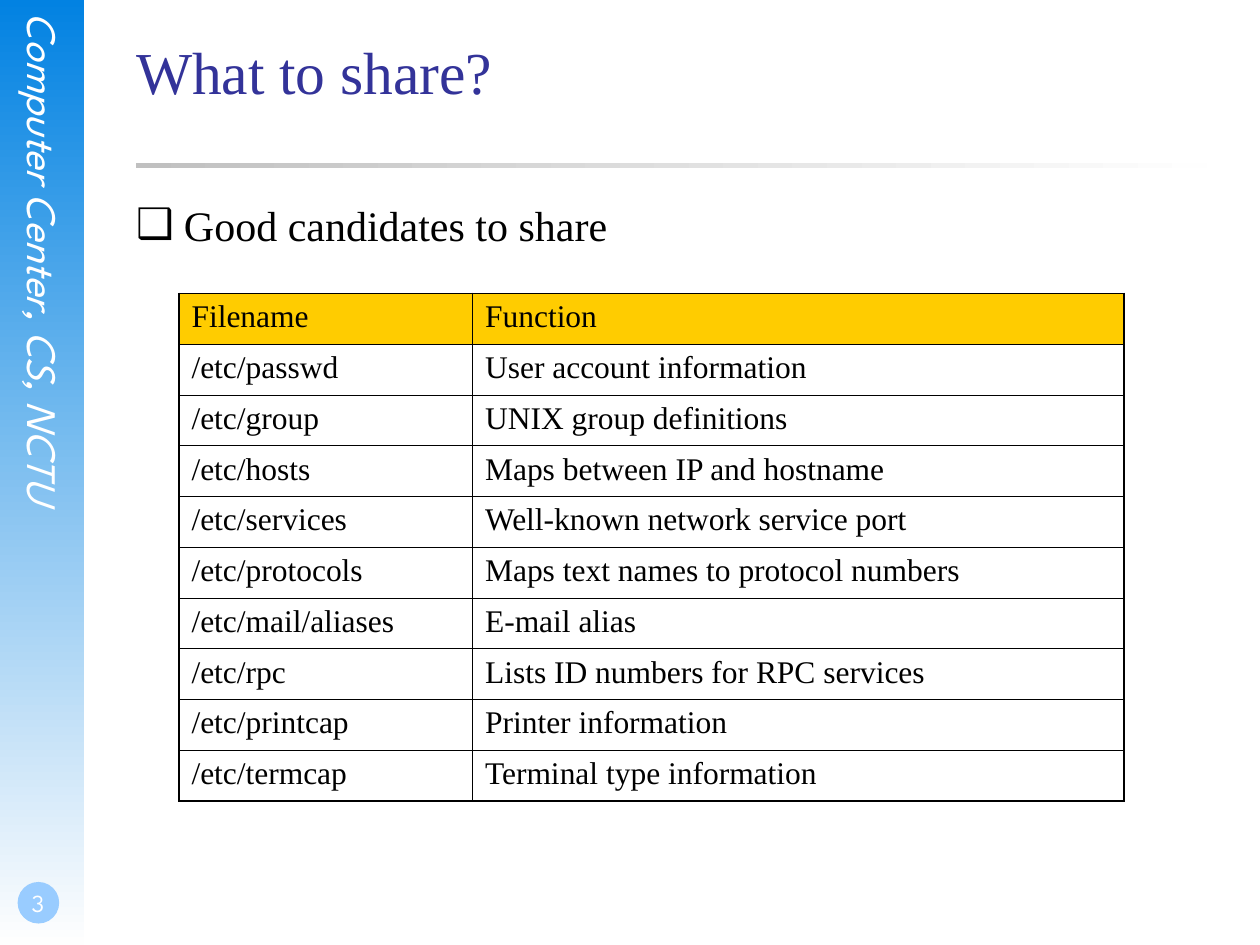
import pptx
import pptx.dml.color
import pptx.enum.shapes
import pptx.enum.text
import pptx.oxml
import pptx.oxml.ns
import pptx.util
from lxml import etree

Inches, Pt = pptx.util.Inches, pptx.util.Pt
ANCHOR, ALIGN = pptx.enum.text.MSO_ANCHOR, pptx.enum.text.PP_ALIGN
SHAPE = pptx.enum.shapes.MSO_SHAPE
qn = pptx.oxml.ns.qn

TITLE = "What to share?"
BULLET = "Good candidates to share"
SIDE_TEXT = "Computer Center, CS, NCTU"
PAGE = "3"
ROWS = [
    ("Filename", "Function"),
    ("/etc/passwd", "User account information"),
    ("/etc/group", "UNIX group definitions"),
    ("/etc/hosts", "Maps between IP and hostname"),
    ("/etc/services", "Well-known network service port"),
    ("/etc/protocols", "Maps text names to protocol numbers"),
    ("/etc/mail/aliases", "E-mail alias"),
    ("/etc/rpc", "Lists ID numbers for RPC services"),
    ("/etc/printcap", "Printer information"),
    ("/etc/termcap", "Terminal type information"),
]
COLORS = {"sky": "0282E2", "fade": "FEFEFE", "badge": "99CCFF", "rule": "C0C0C0",
          "title": "333399", "text": "000000", "header": "FFCC00", "light": "FFFFFF"}
SERIF, SANS = "Times New Roman", "League Spartan"
LEFT, WIDTH = 1.08, 8.5
COLUMNS = (2.33, 5.17)
ROW_HEIGHT = 0.403
OUTER, INNER = 1.08, 0.45


def rgb(name):
    return pptx.dml.color.RGBColor.from_string(COLORS[name])


def place(s, *box):
    s.left, s.top, s.width, s.height = map(Inches, box)


def add_shape(slide, kind, box, *colors, angle=0):
    """One colour gives a solid fill, two give a gradient."""
    s = slide.shapes.add_shape(kind, *map(Inches, box))
    s.shadow.inherit = False
    s.line.fill.background()
    if len(colors) == 1:
        s.fill.solid()
        s.fill.fore_color.rgb = rgb(colors[0])
    else:
        s.fill.gradient()
        s.fill.gradient_angle = angle
        for stop, color in zip(s.fill.gradient_stops, colors):
            stop.color.rgb = rgb(color)


def write(tf, text, size, font, color, align=ALIGN.LEFT, anchor=ANCHOR.TOP,
          margins=(0, 0, 0, 0)):
    tf.word_wrap = True
    tf.auto_size = pptx.enum.text.MSO_AUTO_SIZE.NONE
    tf.vertical_anchor = anchor
    tf.margin_left, tf.margin_top, tf.margin_right, tf.margin_bottom = map(Inches, margins)
    p = tf.paragraphs[0]
    p.text = text
    p.alignment = align
    p.space_before = Pt(0)
    style(p, size, font, color)
    return p


def style(p, size, font, color):
    p.font.size, p.font.name = Pt(size), font
    p.font.color.rgb = rgb(color)


def add_bullet(p, char, indent):
    pPr = p._p.get_or_add_pPr()
    pPr.set("marL", str(Inches(indent)))
    pPr.set("indent", str(-Inches(indent)))
    bullet = etree.Element(qn("a:buChar"), char=char)
    pPr.insert_element_before(bullet, "a:tabLst", "a:defRPr", "a:extLst")


def add_borders(cell, widths):
    tcPr = cell._tc.get_or_add_tcPr()
    for side, width in zip("LRTB", widths):
        ln = etree.SubElement(tcPr, qn(f"a:ln{side}"), w=str(Pt(width)))
        fill = etree.SubElement(ln, qn("a:solidFill"))
        etree.SubElement(fill, qn("a:srgbClr"), val=COLORS["text"])


def add_sidebar(slide):
    add_shape(slide, SHAPE.RECTANGLE, (0, 0, 0.67, 7.5), "sky", "fade", angle=270)
    s = slide.shapes.add_textbox(*map(Inches, (0.15, 0.1, 0.4, 5.11)))
    p = write(s.text_frame, SIDE_TEXT, 24, SANS, "light", ALIGN.CENTER)
    p.font.italic = True
    s.text_frame._txBody.bodyPr.set("vert", "eaVert")
    add_shape(slide, SHAPE.OVAL, (0.14, 7, 0.33, 0.33), "badge")
    s = slide.shapes.add_textbox(*map(Inches, (0, 6.83, 0.58, 0.5)))
    write(s.text_frame, PAGE, 14, SANS, "light", ALIGN.CENTER, ANCHOR.BOTTOM,
          (0.02, 0, 0, 0.05))


def add_file_table(slide):
    n, m = len(ROWS), len(COLUMNS)
    box = (1.42, 2.33, sum(COLUMNS), n * ROW_HEIGHT)
    table = slide.shapes.add_table(n, m, *map(Inches, box)).table
    table.first_row = table.horz_banding = False
    for column, width in zip(table.columns, COLUMNS):
        column.width = Inches(width)
    for i, row in enumerate(ROWS):
        for j, text in enumerate(row):
            cell = table.cell(i, j)
            p = cell.text_frame.paragraphs[0]
            p.text = text
            style(p, 18, SERIF, "text")
            edges = (j == 0, j == m - 1, i == 0, i == n - 1)
            add_borders(cell, [OUTER if edge else INNER for edge in edges])
            if i == 0:
                cell.fill.solid()
                cell.fill.fore_color.rgb = rgb("header")
            else:
                cell.fill.background()


def main():
    prs = pptx.Presentation()
    prs.slide_width, prs.slide_height = Inches(10), Inches(7.5)
    slide = prs.slides.add_slide(prs.slide_layouts[1])
    add_sidebar(slide)
    add_shape(slide, SHAPE.RECTANGLE, (LEFT, 1.29, WIDTH, 0.04), "rule", "fade")

    title, body = slide.placeholders
    place(title, LEFT, 0.28, WIDTH, 1.25)
    write(title.text_frame, TITLE, 34, SERIF, "title")
    place(body, LEFT, 1.58, WIDTH, 5.08)
    p = write(body.text_frame, BULLET, 24, SERIF, "text")
    add_bullet(p, "❑", 0.38)

    add_file_table(slide)
    prs.save("out.pptx")


if __name__ == "__main__":
    main()
